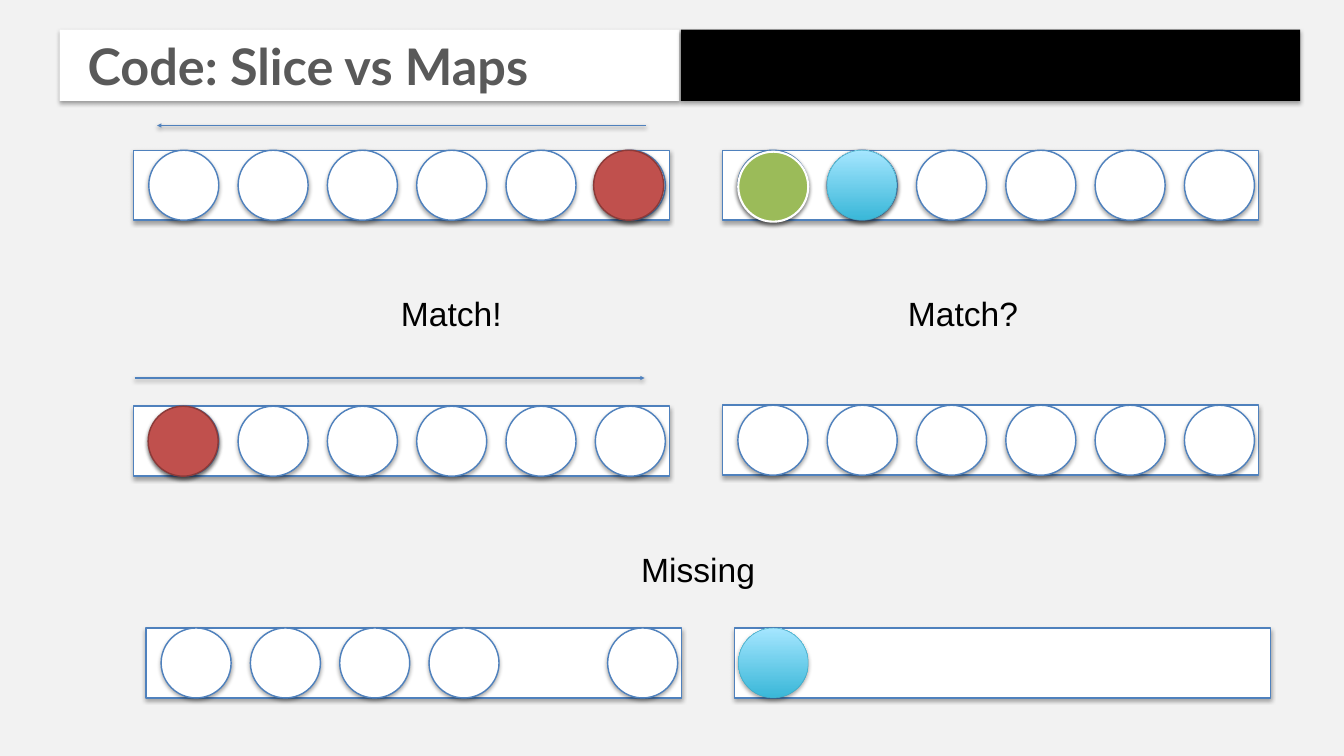
from dataclasses import dataclass

from lxml.etree import SubElement
from pptx import Presentation
from pptx.dml.color import RGBColor as RGB
from pptx.enum.shapes import MSO_CONNECTOR as Connector, MSO_SHAPE as Preset
from pptx.enum.text import MSO_ANCHOR as Anchor, PP_ALIGN as Align
from pptx.oxml.ns import qn
from pptx.shapes.base import BaseShape
from pptx.shapes.shapetree import SlideShapes
from pptx.text.text import TextFrame
from pptx.util import Pt


@dataclass(frozen=True)
class Theme:
    backdrop: str = "F2F2F2"
    white: str = "FFFFFF"
    black: str = "000000"
    title: str = "595959"
    outline: str = "4F81BD"
    title_font: str = "Lato"
    label_font: str = "Arial"
    title_size: float = 72
    label_size: float = 48


@dataclass(frozen=True)
class Style:
    """Solid fill, or a gradient from fill at the bottom to fill_top."""
    fill: str
    line: str | None = None
    line_width: float = 2
    fill_top: str | None = None


@dataclass(frozen=True)
class Row:
    left: float
    top: float
    slots: tuple[int, ...] = tuple(range(6))
    grouped: bool = True


@dataclass(frozen=True)
class Marker:
    left: float
    top: float
    style: Style


@dataclass(frozen=True)
class Arrow:
    start: float
    end: float
    y: float


@dataclass(frozen=True)
class Label:
    text: str
    left: float
    top: float
    width: float


THEME = Theme()
PLAIN = Style(THEME.white, THEME.outline)
RED = Style("C0504D", "8C3A38")
GREEN = Style("9BBB59", THEME.white, 3)
BLUE = Style("39B7D8", "46AAC4", 0.75, "A5E6FF")

SLIDE_WIDTH, SLIDE_HEIGHT = 1920.24, 1080
BAR_TOP, BAR_WIDTH, BAR_HEIGHT = 42.5, 885, 101.5
ROW_WIDTH, CIRCLE, PITCH, ROW_INDENT = 765.4, 100, 127.6, 21.8
INSET = 7.2

ROWS = [
    Row(190.8, 214.6, grouped=False),
    Row(190.8, 580.3),
    Row(1032.5, 214.6),
    Row(1032.5, 578.9),
    Row(1049.8, 897.1, slots=(), grouped=False),
    Row(208.4, 897.1, slots=(0, 1, 2, 3, 5)),
]
MARKERS = [
    Marker(848.2, 214.6, RED),
    Marker(211.7, 580.3, RED),
    Marker(1054.8, 216.7, GREEN),
    Marker(1054.8, 897.1, BLUE),
    Marker(1181.5, 214.6, BLUE),
]
ARROWS = [Arrow(922.3, 224.6, 179.3), Arrow(192.2, 920.9, 540)]
LABELS = [
    Label("Match!", 565.2, 411.8, 159.1),
    Label("Match?", 1289.5, 411.8, 172.8),
    Label("Missing", 908.6, 776.9, 177.8),
]


def add_shadow(shape: BaseShape) -> None:
    effects = SubElement(shape.element.spPr, qn("a:effectLst"))
    shadow = SubElement(effects, qn("a:outerShdw"), blurRad=str(Pt(6)),
                        dist=str(Pt(3)), dir="5400000", rotWithShape="0")
    color = SubElement(shadow, qn("a:srgbClr"), val=THEME.black)
    SubElement(color, qn("a:alpha"), val="35000")


def add_figure(shapes: SlideShapes, preset: Preset, left: float, top: float,
               width: float, height: float, style: Style) -> BaseShape:
    figure = shapes.add_shape(preset, Pt(left), Pt(top), Pt(width), Pt(height))
    if style.fill_top:
        figure.fill.gradient()
        figure.fill.gradient_angle = 90
        for stop, color in zip(figure.fill.gradient_stops, (style.fill, style.fill_top)):
            stop.color.rgb = RGB.from_string(color)
    else:
        figure.fill.solid()
        figure.fill.fore_color.rgb = RGB.from_string(style.fill)
    if style.line:
        figure.line.color.rgb = RGB.from_string(style.line)
        figure.line.width = Pt(style.line_width)
    else:
        figure.line.fill.background()
    add_shadow(figure)
    return figure


def add_circle(shapes: SlideShapes, left: float, top: float, style: Style) -> None:
    add_figure(shapes, Preset.OVAL, left, top, CIRCLE, CIRCLE, style)


def add_row(shapes: SlideShapes, row: Row) -> None:
    target = shapes.add_group_shape().shapes if row.grouped else shapes
    add_figure(target, Preset.RECTANGLE, row.left, row.top, ROW_WIDTH, CIRCLE, PLAIN)
    for slot in row.slots:
        add_circle(target, row.left + ROW_INDENT + slot * PITCH, row.top, PLAIN)


def add_arrow(shapes: SlideShapes, arrow: Arrow) -> None:
    line = shapes.add_connector(Connector.STRAIGHT, Pt(arrow.start), Pt(arrow.y),
                                Pt(arrow.end), Pt(arrow.y))
    line.line.color.rgb = RGB.from_string(THEME.outline)
    line.line.width = Pt(2)
    SubElement(line.element.spPr.find(qn("a:ln")), qn("a:tailEnd"), type="triangle")
    add_shadow(line)


def set_text(frame: TextFrame, text: str, font: str, size: float, color: str,
             align: Align, bold: bool = False) -> None:
    frame.text = text
    frame.vertical_anchor = Anchor.TOP
    frame.margin_left = frame.margin_right = Pt(INSET)
    frame.margin_top = frame.margin_bottom = Pt(INSET)
    para = frame.paragraphs[0]
    para.alignment = align
    para.font.name, para.font.size, para.font.bold = font, Pt(size), bold
    para.font.color.rgb = RGB.from_string(color)


def add_label(shapes: SlideShapes, label: Label) -> None:
    box = shapes.add_textbox(Pt(label.left), Pt(label.top), Pt(label.width), Pt(72.7))
    set_text(box.text_frame, label.text, THEME.label_font, THEME.label_size,
             THEME.black, Align.CENTER)
    box.text_frame.word_wrap = False


def add_header(shapes: SlideShapes) -> None:
    panel = add_figure(shapes, Preset.RECTANGLE, 85, BAR_TOP, BAR_WIDTH, BAR_HEIGHT,
                       Style(THEME.white))
    title = shapes.title
    title.left, title.top = Pt(118.1), Pt(BAR_TOP)
    title.width, title.height = Pt(1758.2), Pt(100)
    set_text(title.text_frame, "Code: Slice vs Maps", THEME.title_font,
             THEME.title_size, THEME.title, Align.LEFT, bold=True)
    panel.element.addnext(title.element)  # stack the title above its panel
    add_figure(shapes, Preset.RECTANGLE, 972.7, BAR_TOP, BAR_WIDTH, BAR_HEIGHT,
               Style(THEME.black))


def main() -> None:
    deck = Presentation()
    deck.slide_width, deck.slide_height = Pt(SLIDE_WIDTH), Pt(SLIDE_HEIGHT)
    shapes = deck.slides.add_slide(deck.slide_layouts[5]).shapes
    add_figure(shapes, Preset.RECTANGLE, 0, 0, SLIDE_WIDTH, SLIDE_HEIGHT,
               Style(THEME.backdrop))
    add_header(shapes)
    for row in ROWS:
        add_row(shapes, row)
    for marker in MARKERS:
        add_circle(shapes, marker.left, marker.top, marker.style)
    for arrow in ARROWS:
        add_arrow(shapes, arrow)
    for label in LABELS:
        add_label(shapes, label)
    deck.save("out.pptx")


if __name__ == "__main__":
    main()
